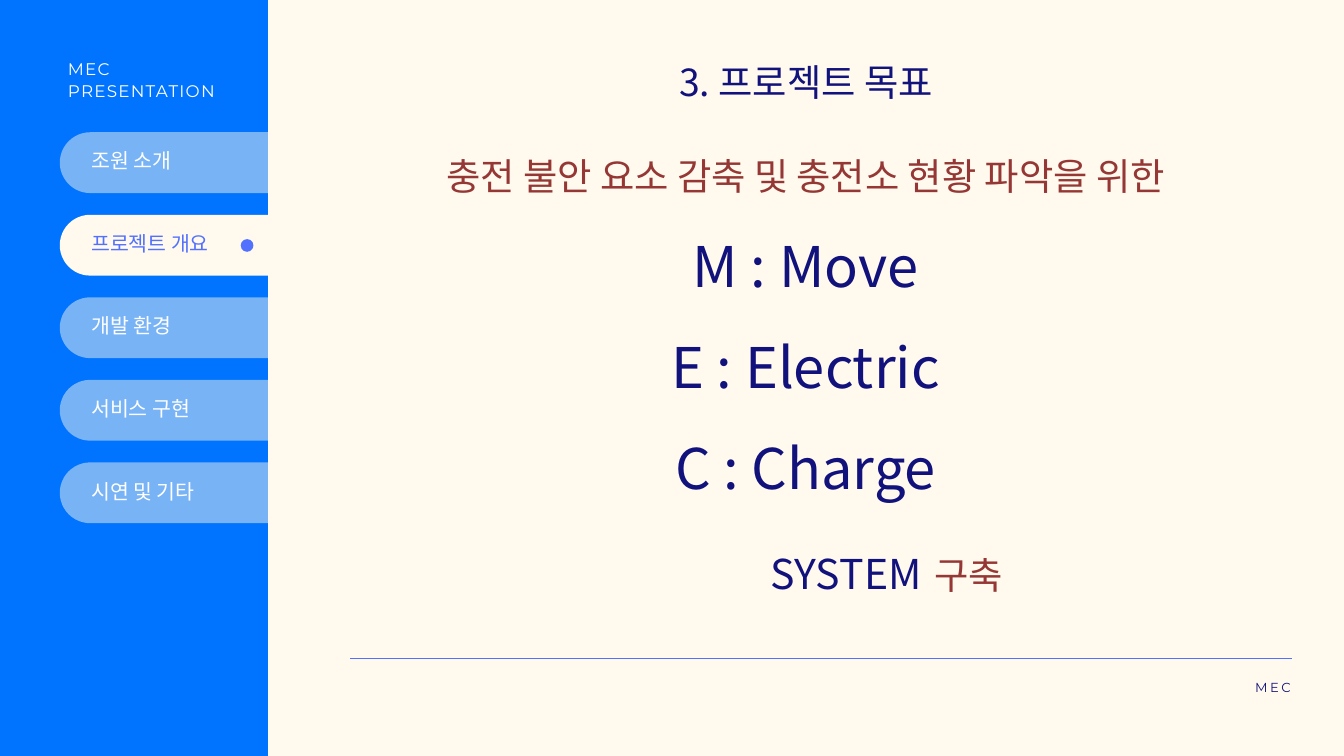
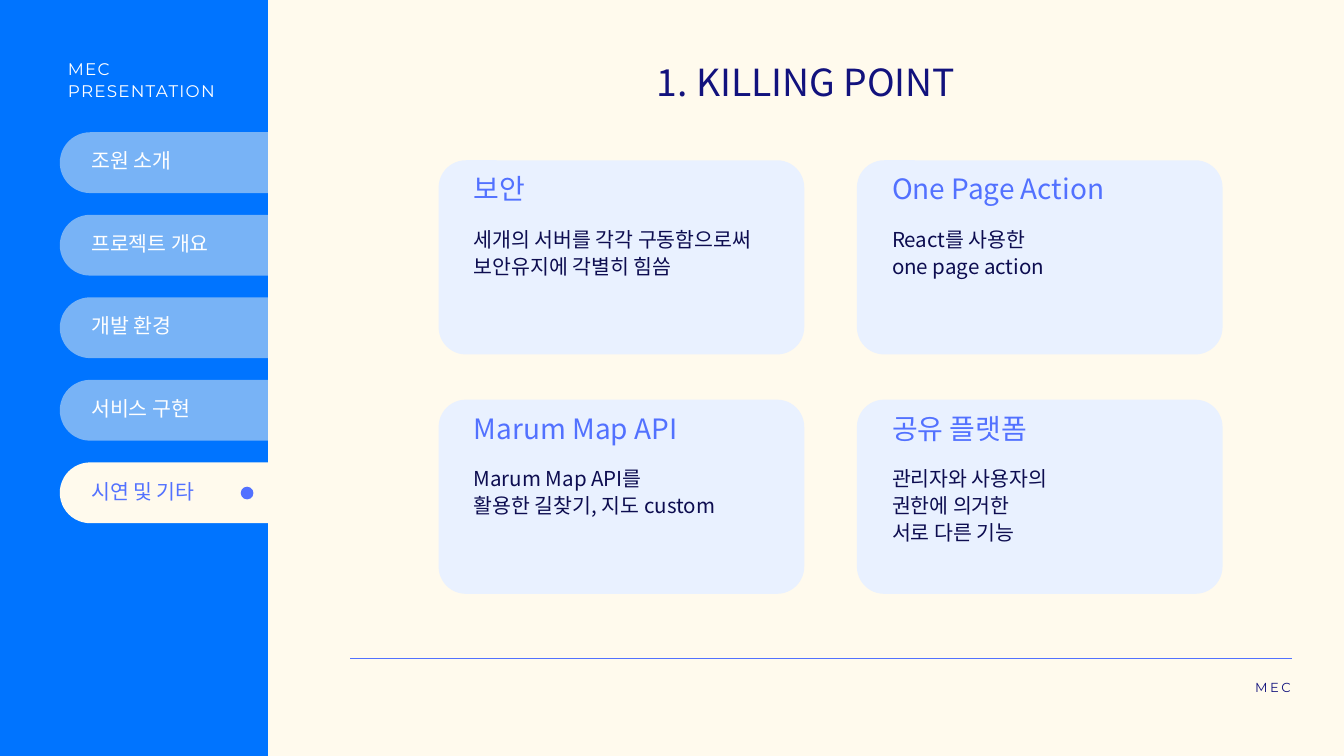
"""Build the project goal and killing point slides of the MEC presentation."""
from lxml.etree import SubElement
from pptx import Presentation
from pptx.dml.color import RGBColor
from pptx.enum.shapes import MSO_CONNECTOR, MSO_SHAPE
from pptx.enum.text import MSO_AUTO_SIZE, PP_ALIGN
from pptx.oxml.ns import qn
from pptx.util import Cm, Pt

CREAM = RGBColor(0xFF, 0xFA, 0xED)
BLUE = RGBColor(0x00, 0x74, 0xFF)
ACCENT = RGBColor(0x52, 0x71, 0xFF)
PALE = RGBColor(0xE9, 0xF1, 0xFF)
NAVY = RGBColor(0x12, 0x12, 0x7D)
INK = RGBColor(0x0D, 0x0D, 0x50)
RED = RGBColor(0x95, 0x37, 0x35)
WHITE = RGBColor(0xFF, 0xFF, 0xFF)
NOTO, CALIBRI, MONTSERRAT = "Noto Sans CJK KR", "Calibri", "Montserrat"

TABS = ["조원 소개", "프로젝트 개요", "개발 환경", "서비스 구현", "시연 및 기타"]
SLIDES = [("3. 프로젝트 목표", 1), ("1. KILLING POINT", 4)]
GOALS = [
    [("충전 불안 요소 감축 및 충전소 현황 파악을 위한", 40, RED)],
    [("M : Move", 60, NAVY)],
    [("E : Electric", 60, NAVY)],
    [("C : Charge", 60, NAVY)],
    [("SYSTEM", 44, NAVY), (" ", 60, NAVY), ("구축", 40, RED)],
]
CARDS = [
    ("보안", ["세개의 서버를 각각 구동함으로써 보안유지에 각별히 힘씀"], CALIBRI),
    ("One Page Action", ["React를 사용한", "one page action"], NOTO),
    ("Marum Map API", ["Marum Map API를", "활용한 길찾기, 지도 custom"], NOTO),
    ("공유 플랫폼", ["관리자와 사용자의", "권한에 의거한", "서로 다른 기능"], CALIBRI),
]


def add_text(slide, lines, left, top, width, height, font=NOTO, size=22, color=NAVY,
             spacing=Pt(28.6), align=PP_ALIGN.LEFT, tracking=0):
    """Add a text box; a line is a string or a list of (text, size, colour) runs."""
    frame = slide.shapes.add_textbox(Cm(left), Cm(top), Cm(width), Cm(height)).text_frame
    frame.word_wrap = True
    frame.auto_size = MSO_AUTO_SIZE.SHAPE_TO_FIT_TEXT
    frame.margin_left = frame.margin_right = frame.margin_top = frame.margin_bottom = 0
    for index, line in enumerate(lines):
        paragraph = frame.add_paragraph() if index else frame.paragraphs[0]
        paragraph.alignment = align
        paragraph.line_spacing = spacing
        runs = [(line, size, color)] if isinstance(line, str) else line
        for text, run_size, run_color in runs:
            run = paragraph.add_run()
            run.text = text
            run.font.size = Pt(run_size)
            run.font.color.rgb = run_color
            run.font.name = font
            properties = run._r.get_or_add_rPr()
            SubElement(properties, qn("a:ea")).set("typeface", font)
            if tracking:
                properties.set("spc", str(tracking))
    return frame


def add_panel(slide, kind, left, top, width, height, color, rounding=None, opacity=None):
    """Add a plain filled shape without outline or shadow."""
    shape = slide.shapes.add_shape(kind, Cm(left), Cm(top), Cm(width), Cm(height))
    shape.shadow.inherit = False
    shape.line.fill.background()
    shape.fill.solid()
    shape.fill.fore_color.rgb = color
    if rounding is not None:
        shape.adjustments[0] = rounding
    if opacity is not None:
        fill_color = shape._element.spPr.find(qn("a:solidFill"))[0]
        SubElement(fill_color, qn("a:alpha")).set("val", str(opacity * 1000))


presentation = Presentation()
presentation.slide_width = Cm(50.8)
presentation.slide_height = Cm(28.58)

for title, active in SLIDES:
    slide = presentation.slides.add_slide(presentation.slide_layouts[6])
    slide.background.fill.solid()
    slide.background.fill.fore_color.rgb = CREAM

    rule = slide.shapes.add_connector(
        MSO_CONNECTOR.STRAIGHT, Cm(13.23), Cm(24.89), Cm(48.84), Cm(24.89))
    rule.line.color.rgb = ACCENT
    rule.line.width = Pt(0.75)
    SubElement(rule._element.spPr, qn("a:effectLst"))

    add_panel(slide, MSO_SHAPE.RECTANGLE, 0, 0, 10.13, 28.58, BLUE)
    add_text(slide, ["MEC PRESENTATION"], 2.57, 2.18, 5.69, 1.65, font=MONTSERRAT,
             size=18, color=WHITE, spacing=Pt(23), tracking=130)
    add_text(slide, [title], 19.05, 2.24, 22.83, 1.7, size=40, spacing=Pt(48),
             align=PP_ALIGN.CENTER)
    add_text(slide, ["MEC"], 40.23, 25.7, 8.56, 0.56, font=MONTSERRAT, size=14,
             spacing=Pt(16.8), align=PP_ALIGN.RIGHT, tracking=270)

    for index, label in enumerate(TABS):
        top = 5 + 3.12 * index
        is_active = index == active
        add_panel(slide, MSO_SHAPE.ROUNDED_RECTANGLE, 2.26, top, 9.04, 2.3, CREAM,
                  rounding=0.5, opacity=None if is_active else 47)
        add_text(slide, [label], 3.45, top + 0.78, 6.48, 0.79, font=CALIBRI,
                 color=ACCENT if is_active else WHITE, spacing=Pt(21.6))
        if is_active:
            add_panel(slide, MSO_SHAPE.OVAL, 9.1, top + 0.92, 0.48, 0.48, ACCENT)

goal_slide, card_slide = presentation.slides

goals = add_text(goal_slide, GOALS, 12.06, 5.79, 36.78, 17.09, spacing=1.5,
                 align=PP_ALIGN.CENTER)
goals.paragraphs[0].line_spacing = Pt(48)
goals.paragraphs[-1]._p.get_or_add_pPr().set("marL", str(Cm(6.15)))

for index, (heading, lines, font) in enumerate(CARDS):
    row, column = divmod(index, 2)
    left, top = 16.58 + 15.81 * column, 6.06 + 9.05 * row
    add_panel(card_slide, MSO_SHAPE.ROUNDED_RECTANGLE, left, top, 13.82, 7.34, PALE,
              rounding=0.14)
    add_text(card_slide, [heading], left + 1.33, top + 1.03, 9.6, 0.76, size=30,
             color=ACCENT, spacing=Pt(19.2))
    add_text(card_slide, lines, left + 1.33, top + 2.44, 11.5, 2.06, font=font, color=INK)

presentation.save("out.pptx")
